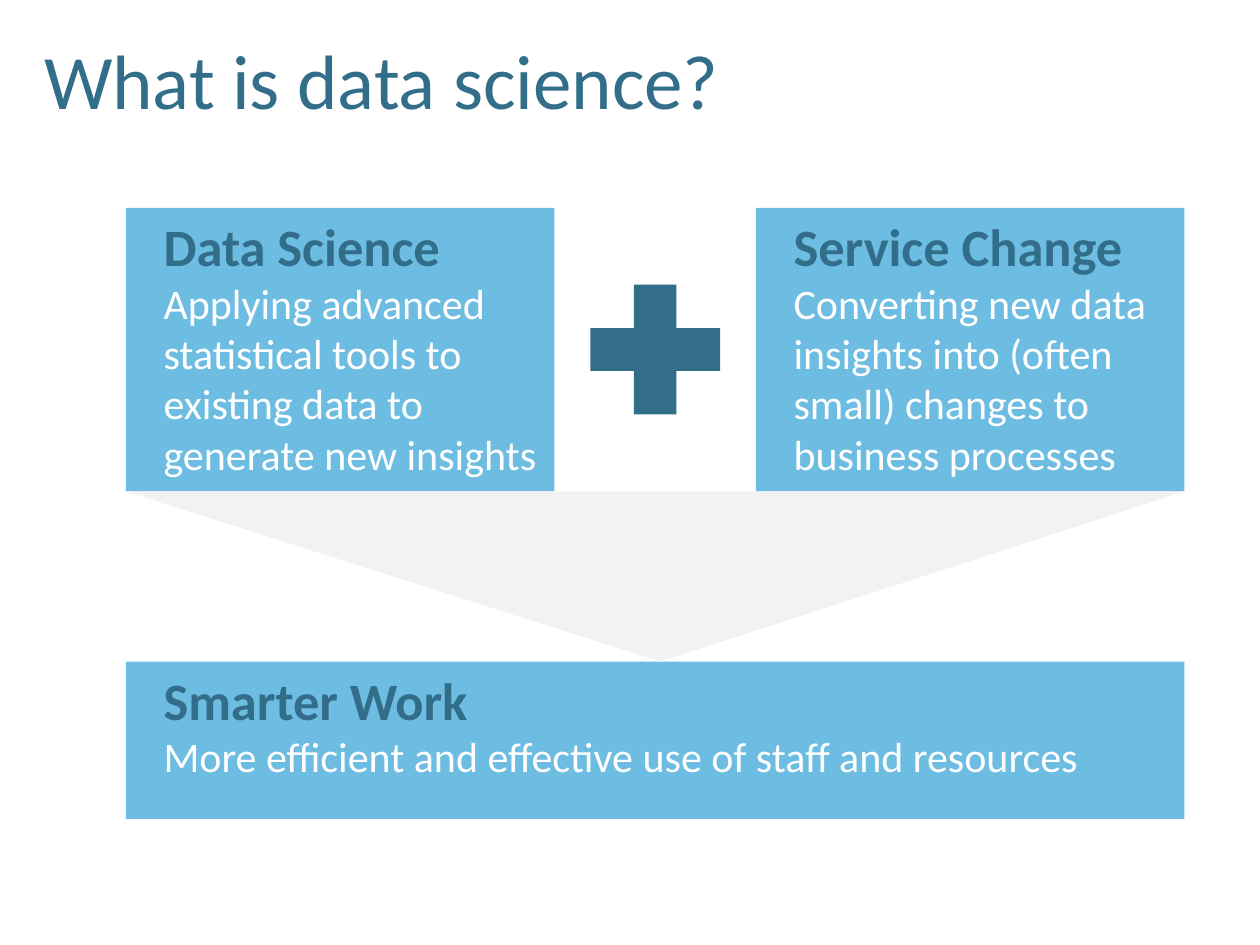
from pptx import Presentation
from pptx.dml.color import RGBColor
from pptx.enum.shapes import MSO_SHAPE
from pptx.enum.text import MSO_ANCHOR, PP_ALIGN
from pptx.util import Inches, Pt

RECTANGLE = MSO_SHAPE.RECTANGLE
PLUS = MSO_SHAPE.CROSS
TRIANGLE = MSO_SHAPE.ISOSCELES_TRIANGLE
TOP, MIDDLE = MSO_ANCHOR.TOP, MSO_ANCHOR.MIDDLE
LEFT = PP_ALIGN.LEFT

FONT = "Calibri"
COLORS = {"dark": "326D89", "box": "6DBCE2", "funnel": "F2F2F2", "text": "FFFFFF"}


def write(paragraph, text, size, color, bold=False, indent=0):
    paragraph.text = text
    paragraph.alignment = LEFT
    properties = paragraph._p.get_or_add_pPr()
    properties.set("marL", str(Inches(indent)))
    properties.set("indent", "0")
    paragraph.font.name = FONT
    paragraph.font.size = Pt(size)
    paragraph.font.bold = bold
    paragraph.font.color.rgb = RGBColor.from_string(COLORS[color])


def add_filled(kind, left, top, width, height, color):
    shape = slide.shapes.add_shape(
        kind, Inches(left), Inches(top), Inches(width), Inches(height))
    shape.shadow.inherit = False
    shape.fill.solid()
    shape.fill.fore_color.rgb = RGBColor.from_string(COLORS[color])
    shape.line.fill.background()
    return shape


prs = Presentation()
prs.slide_width, prs.slide_height = Inches(10), Inches(7.5)
slide = prs.slides.add_slide(prs.slide_layouts[5])

# Title
title = slide.shapes.title
title.left, title.top = Inches(0.25), Inches(0)
title.width, title.height = Inches(9.5), Inches(1.25)
title.text_frame.vertical_anchor = MIDDLE
write(title.text_frame.paragraphs[0], "What is data science?", size=44, color="dark")

# Layout: two inputs on top, the result below across the full width
left, right = 1, 9.4
input_top, input_width, input_height = 1.65, 3.4, 2.25
input_bottom = input_top + input_height
result_top, result_height = 5.25, 1.25
full_width = right - left

# Boxes
boxes = [
    ("Data Science",
     "Applying advanced statistical tools to existing data to generate new insights",
     (left, input_top, input_width, input_height)),
    ("Service Change",
     "Converting new data insights into (often small) changes to business processes",
     (right - input_width, input_top, input_width, input_height)),
    ("Smarter Work",
     "More efficient and effective use of staff and resources",
     (left, result_top, full_width, result_height)),
]
for heading, description, place in boxes:
    frame = add_filled(RECTANGLE, *place, "box").text_frame
    frame.word_wrap = True
    frame.vertical_anchor = TOP
    write(frame.paragraphs[0], heading, size=30, color="dark", bold=True, indent=0.2)
    write(frame.add_paragraph(), description, size=24, color="text", indent=0.2)

# Plus sign between the inputs
plus_size = 1.03
plus = add_filled(PLUS, (left + right - plus_size) / 2,
                  input_top + (input_height - plus_size) / 2,
                  plus_size, plus_size, "dark")
plus.adjustments[0] = 0.336

# Funnel from the inputs down to the result
funnel = add_filled(TRIANGLE, left, input_bottom, full_width,
                    result_top - input_bottom, "funnel")
funnel.adjustments[0] = 0.495
funnel.rotation = 180

prs.save("out.pptx")
